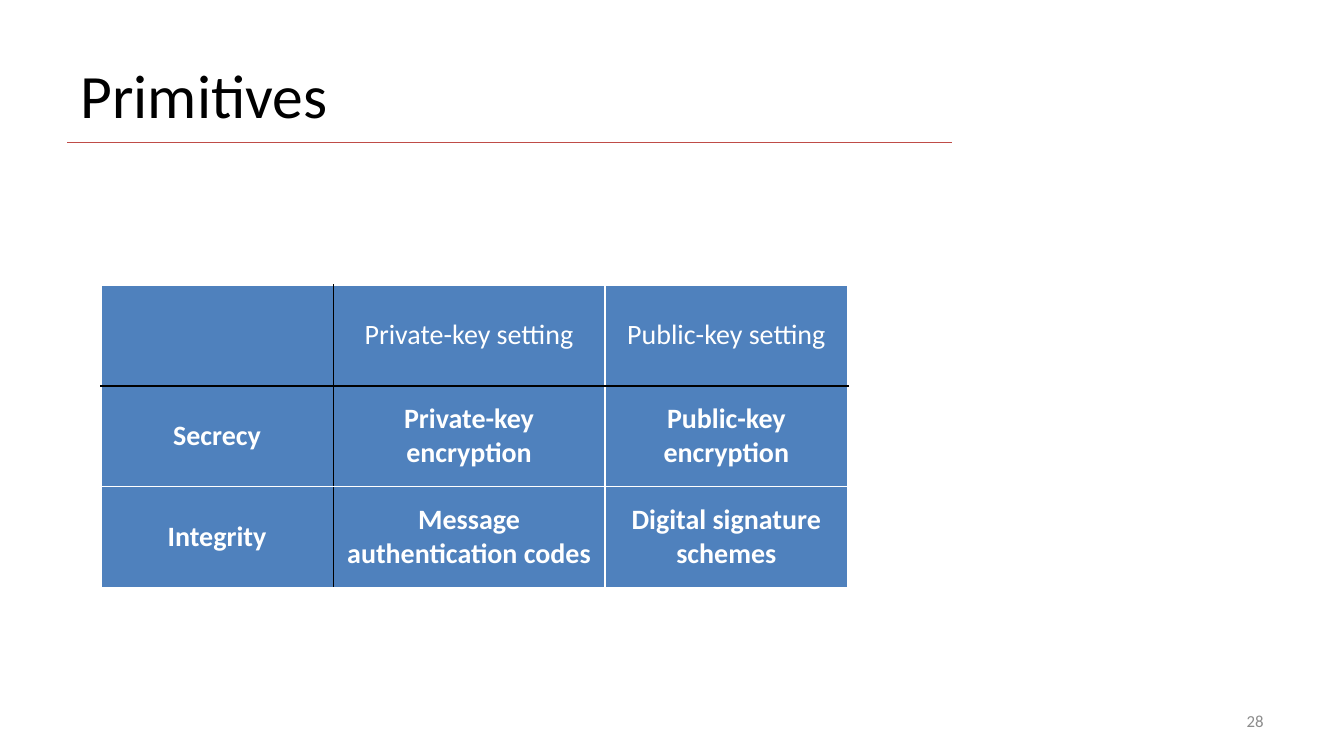
from dataclasses import dataclass

from lxml.etree import SubElement
from pptx import Presentation
from pptx.dml.color import RGBColor
from pptx.enum.shapes import MSO_CONNECTOR
from pptx.enum.text import MSO_ANCHOR, PP_ALIGN
from pptx.oxml import parse_xml
from pptx.oxml.ns import nsdecls, qn
from pptx.util import Inches, Pt

BLACK = RGBColor(0x00, 0x00, 0x00)
WHITE = RGBColor(0xFF, 0xFF, 0xFF)
BLUE = RGBColor(0x4F, 0x81, 0xBD)
RED = RGBColor(0xBF, 0x4C, 0x48)
GRAY = RGBColor(0x8C, 0x8C, 0x8C)
FONT = "Calibri"


@dataclass(frozen=True)
class TextStyle:
    size: float
    color: RGBColor
    align: PP_ALIGN
    bold: bool = False


TITLE = TextStyle(33, BLACK, PP_ALIGN.LEFT)
PAGE_NUMBER = TextStyle(9, GRAY, PP_ALIGN.RIGHT)
HEADER = TextStyle(15, WHITE, PP_ALIGN.CENTER)
BODY = TextStyle(15, WHITE, PP_ALIGN.CENTER, bold=True)

SLIDE_WIDTH = 10
COLUMN_WIDTHS = (1.73, 2.02, 1.81)
ROW_HEIGHT = 0.75
ROWS = (
    ("", "Private-key setting", "Public-key setting"),
    ("Secrecy", "Private-key encryption", "Public-key encryption"),
    ("Integrity", "Message authentication codes", "Digital signature schemes"),
)


def write(tf, text: str, style: TextStyle) -> None:
    tf.text = text
    p = tf.paragraphs[0]
    p.alignment = style.align
    for r in p.runs:
        r.font.name = FONT
        r.font.size = Pt(style.size)
        r.font.bold = style.bold
        r.font.color.rgb = style.color


def set_borders(cell, row: int, col: int) -> None:
    """Rule the header row and header column in black, the rest in white."""
    black_sides = {
        "lnL": col == 1,
        "lnR": col == 0,
        "lnT": row == 1,
        "lnB": row == 0,
    }
    tc_pr = cell._tc.get_or_add_tcPr()
    for i, (side, is_black) in enumerate(black_sides.items()):
        color = BLACK if is_black else WHITE
        tc_pr.insert(i, parse_xml(
            f'<a:{side} {nsdecls("a")} w="{Pt(1)}"><a:solidFill>'
            f'<a:srgbClr val="{color}"/></a:solidFill></a:{side}>'))


def add_primitives_table(s) -> None:
    table = s.shapes.add_table(
        len(ROWS), len(COLUMN_WIDTHS), Inches(0.75), Inches(2.12),
        Inches(sum(COLUMN_WIDTHS)), Inches(ROW_HEIGHT * len(ROWS))).table
    table.horz_banding = False
    for column, width in zip(table.columns, COLUMN_WIDTHS):
        column.width = Inches(width)
    for i, labels in enumerate(ROWS):
        table.rows[i].height = Inches(ROW_HEIGHT)
        for j, label in enumerate(labels):
            cell = table.cell(i, j)
            write(cell.text_frame, label, BODY if i else HEADER)
            cell.vertical_anchor = MSO_ANCHOR.MIDDLE
            cell.margin_left = cell.margin_right = Inches(0.07)
            cell.margin_top = cell.margin_bottom = Inches(0.04)
            cell.fill.solid()
            cell.fill.fore_color.rgb = BLUE
            set_borders(cell, i, j)


def add_title_rule(s) -> None:
    rule = s.shapes.add_connector(
        MSO_CONNECTOR.STRAIGHT, Inches(0.5), Inches(1.06), Inches(7.08), Inches(1.06))
    rule.line.color.rgb = RED
    rule.line.width = Pt(0.75)
    SubElement(rule._element.spPr, qn("a:effectLst"))


def add_page_number(s, number: str) -> None:
    box = s.shapes.add_textbox(Inches(7.17), Inches(5.21), Inches(2.33), Inches(0.3))
    tf = box.text_frame
    tf.word_wrap = True
    tf.vertical_anchor = MSO_ANCHOR.MIDDLE
    write(tf, number, PAGE_NUMBER)


def main() -> None:
    prs = Presentation()
    prs.slide_width = Inches(SLIDE_WIDTH)
    prs.slide_height = Inches(SLIDE_WIDTH * 9 / 16)
    s = prs.slides.add_slide(prs.slide_layouts[5])
    add_title_rule(s)

    title = s.shapes.title
    title.left, title.top = Inches(0.5), Inches(0.23)
    title.width, title.height = Inches(9), Inches(0.94)
    title.text_frame.vertical_anchor = MSO_ANCHOR.MIDDLE
    write(title.text_frame, "Primitives", TITLE)

    add_page_number(s, "28")
    add_primitives_table(s)
    prs.save("out.pptx")


if __name__ == "__main__":
    main()
